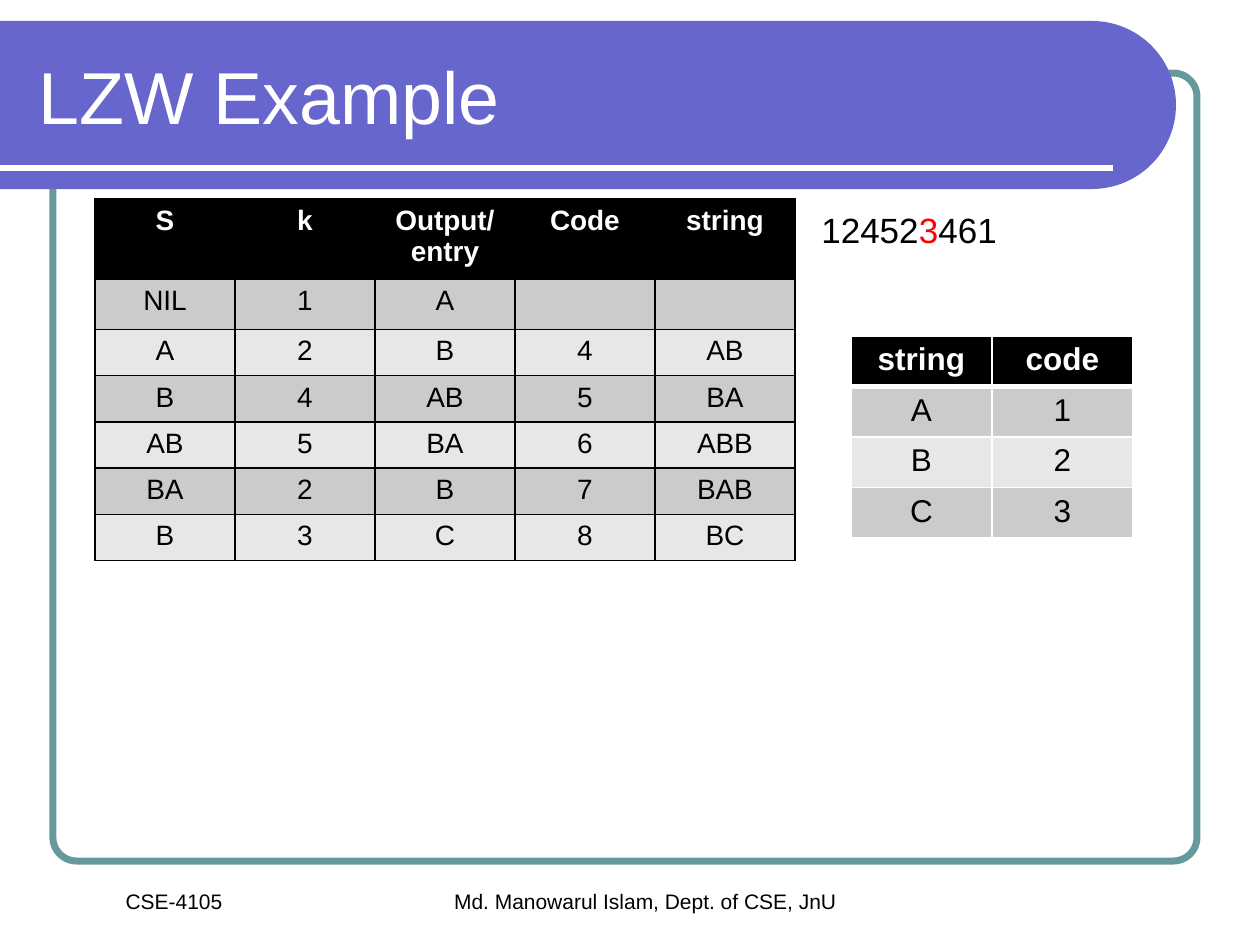
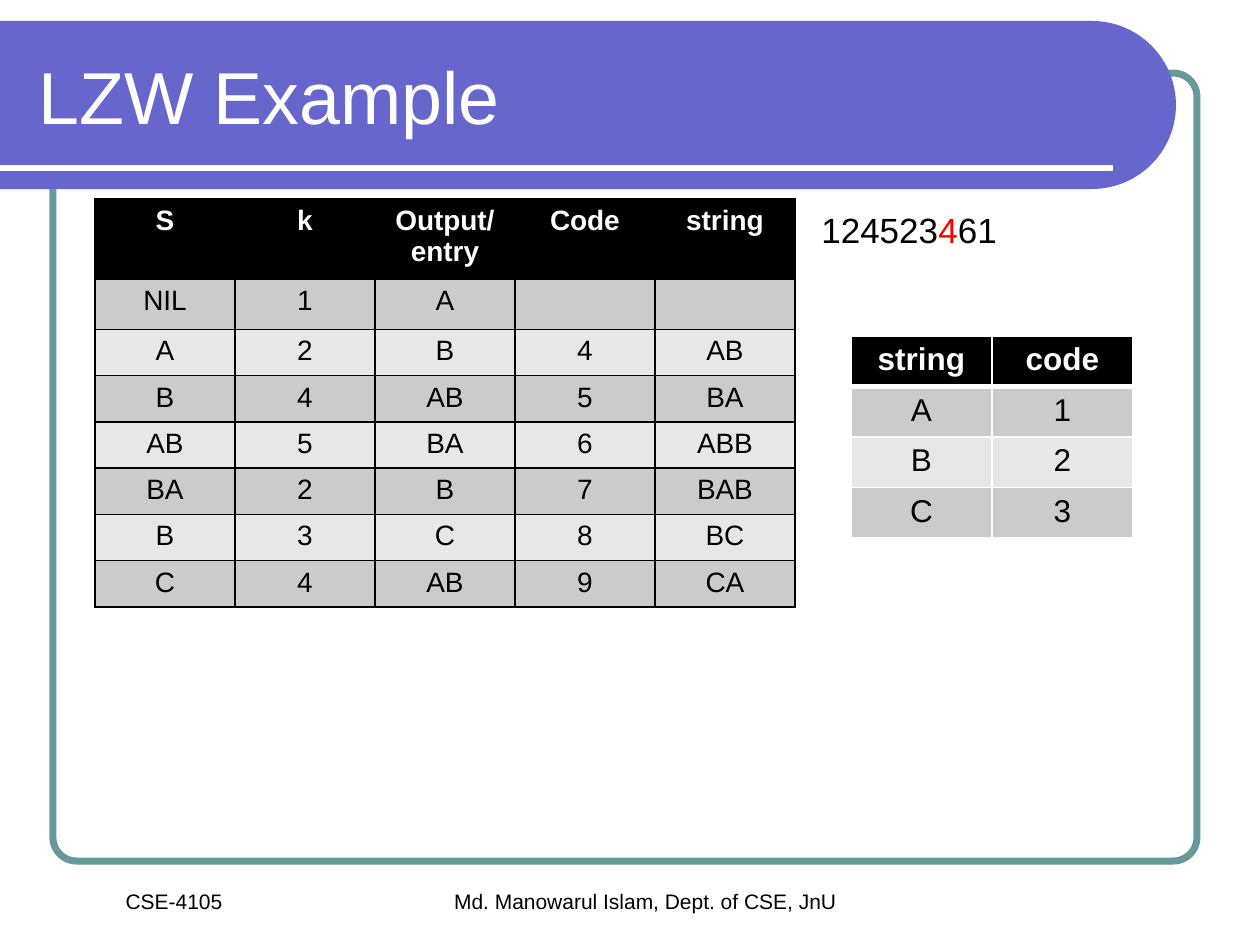
from math import cos, pi, sin

from lxml import etree
from pptx import Presentation
from pptx.dml.color import RGBColor
from pptx.enum.shapes import MSO_CONNECTOR, MSO_SHAPE
from pptx.enum.text import MSO_ANCHOR, PP_ALIGN
from pptx.oxml.ns import qn
from pptx.util import Emu, Pt

LEFT, CENTER = PP_ALIGN.LEFT, PP_ALIGN.CENTER
TOP, MIDDLE = MSO_ANCHOR.TOP, MSO_ANCHOR.MIDDLE
ROUND, LINE = MSO_SHAPE.ROUNDED_RECTANGLE, MSO_CONNECTOR.STRAIGHT
SCALE = 914400 / 126


class Theme:
    font = "Arial"
    band, frame = "6666CC", "669999"
    black, white, red = "000000", "FFFFFF", "FF0000"
    stripes = "CBCBCB", "E7E7E7"
    title, code, steps, dictionary, footer = 42, 20, 16, 18, 12


def px(*lengths):
    return [Emu(round(length * SCALE)) for length in lengths]


def write(para, text, size, color, bold=False):
    """Add one formatted run to a paragraph."""
    run = para.add_run()
    run.text = text
    look = {"name": Theme.font, "size": Pt(size), "bold": bold}
    for key, value in look.items():
        setattr(run.font, key, value)
    run.font.color.rgb = RGBColor.from_string(color)


STEPS = [
    ("S", "k", "Output/entry", "Code", "string"),
    ("NIL", "1", "A", "", ""),
    ("A", "2", "B", "4", "AB"),
    ("B", "4", "AB", "5", "BA"),
    ("AB", "5", "BA", "6", "ABB"),
    ("BA", "2", "B", "7", "BAB"),
    ("B", "3", "C", "8", "BC"),
    ("C", "4", "AB", "9", "CA"),
]
DICTIONARY = [("string", "code"), ("A", "1"), ("B", "2"), ("C", "3")]
CODE = "124523461"

prs = Presentation()
prs.slide_width, prs.slide_height = px(1260, 945)

# Each slide decodes one more code, shown in red
for mark in (5, 6):
    shapes = prs.slides.add_slide(prs.slide_layouts[6]).shapes

    # Frame, title band and rule
    frame = shapes.add_shape(ROUND, *px(53, 73, 1144, 788))
    frame.adjustments[0] = 0.03
    frame.shadow.inherit = False
    frame.fill.background()
    frame.line.color.rgb = RGBColor.from_string(Theme.frame)
    frame.line.width = Pt(4)

    turns = [pi * step / 60 - pi / 2 for step in range(61)]
    arc = [px(1092 + 84 * cos(turn), 105 + 84 * sin(turn)) for turn in turns]
    outline = shapes.build_freeform(*px(0, 21))
    outline.add_line_segments([*arc, px(0, 189)])
    band = outline.convert_to_shape()
    band.shadow.inherit = False
    band.fill.solid()
    band.fill.fore_color.rgb = RGBColor.from_string(Theme.band)
    band.line.fill.background()

    rule = shapes.add_connector(LINE, *px(0, 168, 1113, 168))
    rule.line.color.rgb = RGBColor.from_string(Theme.white)
    rule.line.width = Pt(3)
    etree.SubElement(rule._element.spPr, qn("a:effectLst"))

    # Title, footers and code sequence
    lines = [
        ((220, 882, 851, 77), CENTER, TOP, 1, Theme.footer,
         [("Md. Manowarul Islam, Dept. of CSE, JnU", Theme.black)]),
        ((32, 882, 284, 38), CENTER, TOP, 1, Theme.footer,
         [("CSE-4105", Theme.black)]),
        ((26, 32, 1105, 126), LEFT, MIDDLE, 1, Theme.title,
         [("LZW Example", Theme.white)]),
        ((809, 210, 514, 63), LEFT, TOP, 0.8, Theme.code,
         [(CODE[:mark], Theme.black), (CODE[mark], Theme.red),
          (CODE[mark + 1:], Theme.black)]),
    ]
    for place, align, anchor, spacing, size, parts in lines:
        frame = shapes.add_textbox(*px(*place)).text_frame
        frame.word_wrap = True
        frame.vertical_anchor = anchor
        para = frame.paragraphs[0]
        para.alignment = align
        para.line_spacing = spacing
        for text, color in parts:
            write(para, text, size, color)

    # Decoding steps and starting dictionary
    steps = STEPS[:mark + 2]
    tables = [
        (steps, 95, 199, 140, [80, 48] + [46] * (len(steps) - 2),
         Theme.steps, Theme.black, 1),
        (DICTIONARY, 851, 336, 141, [50] * 4,
         Theme.dictionary, Theme.white, 3),
    ]
    for rows, left, top, width, heights, size, edge, thick in tables:
        place = px(left, top, width * len(rows[0]), sum(heights))
        table = shapes.add_table(len(rows), len(rows[0]), *place).table
        for col in table.columns:
            col.width = px(width)[0]
        for row, height in zip(table.rows, px(*heights)):
            row.height = height
        for i, row in enumerate(rows):
            head = i == 0
            fill = Theme.black if head else Theme.stripes[(i - 1) % 2]
            color = Theme.white if head else Theme.black
            borders = {"lnL": 1, "lnR": 1, "lnT": thick if i == 1 else 1,
                       "lnB": thick if head else 1}
            for j, text in enumerate(row):
                cell = table.cell(i, j)
                props = cell._tc.get_or_add_tcPr()
                for side, points in borders.items():
                    line = etree.SubElement(props, qn(f"a:{side}"), w=str(Pt(points)))
                    paint = etree.SubElement(line, qn("a:solidFill"))
                    etree.SubElement(paint, qn("a:srgbClr"), val=edge)
                cell.fill.solid()
                cell.fill.fore_color.rgb = RGBColor.from_string(fill)
                para = cell.text_frame.paragraphs[0]
                para.alignment = CENTER
                if text:
                    write(para, text, size, color, head)

prs.save("out.pptx")
